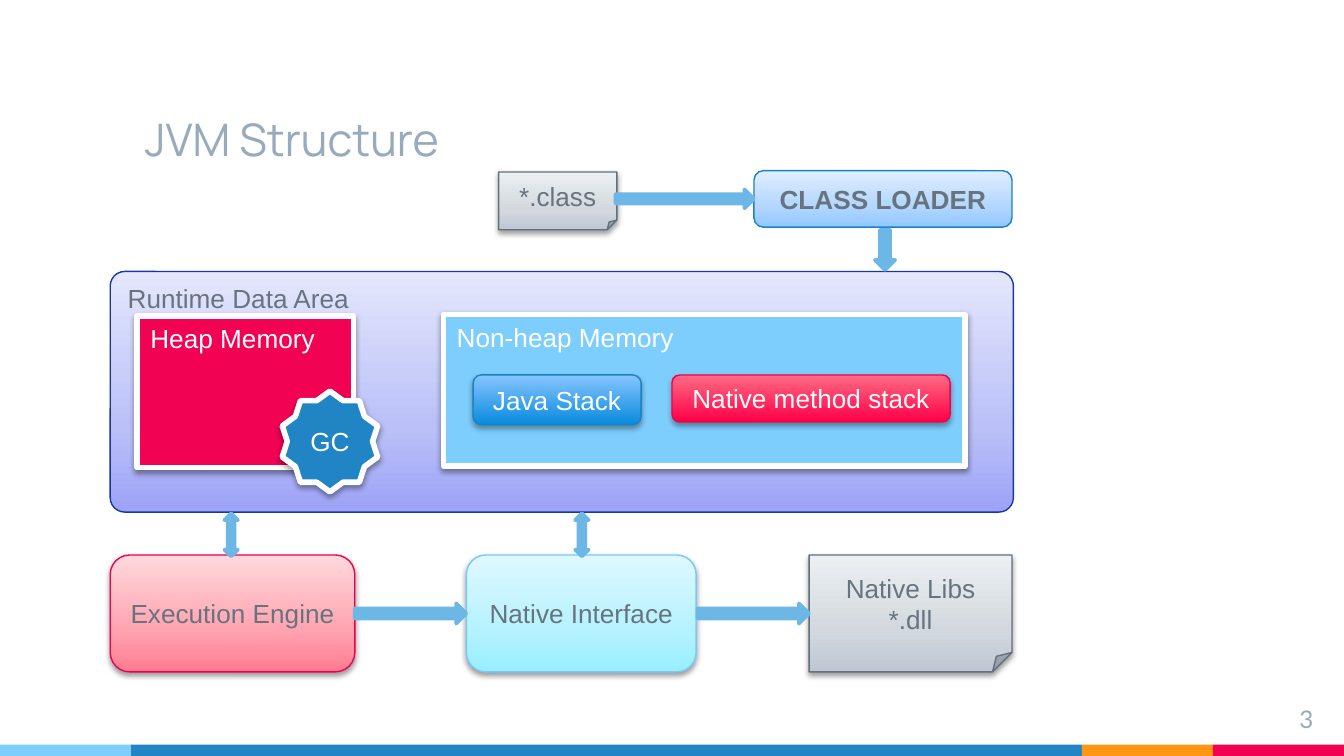
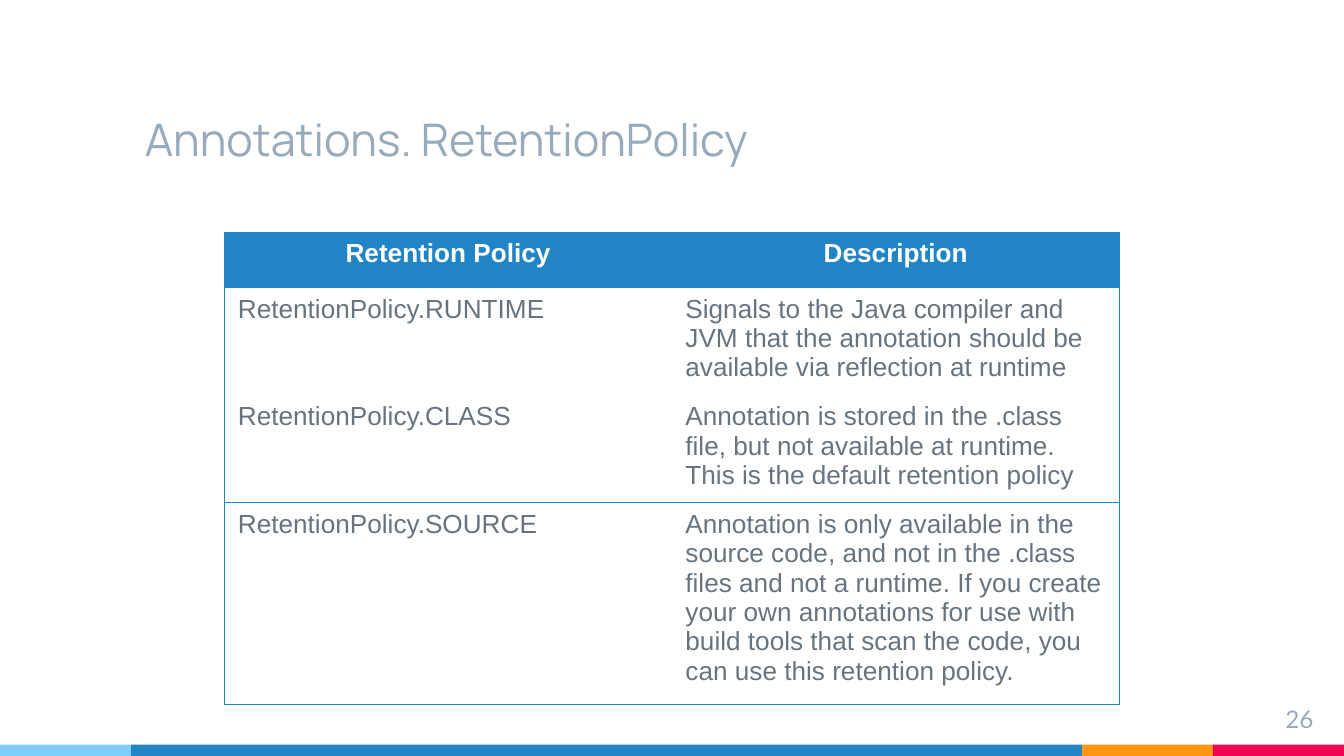
import pptx
import pptx.util
import pptx.dml.color
import pptx.enum.shapes
import pptx.enum.text
import pptx.oxml.ns
import lxml.etree

KIND = pptx.enum.shapes.MSO_SHAPE
ALIGN = pptx.enum.text.PP_ALIGN
ANCHOR = pptx.enum.text.MSO_ANCHOR
UNIT = pptx.util.Inches(0.1)
COLUMNS, ROWS = 100, 56.25

WHITE, SLATE, MUTED = "FFFFFF", "677480", "97ABBC"
BLUE, SKY, RED, ORANGE, ARROW = "2185C5", "7ECEFD", "F20253", "FF9715", "6DB7E7"
GREY_FADE = ("BEC7D3", "D2D8DE", "ECF0F3")
STEEL, CRIMSON, OCEAN = "63717D", "F1004F", "1B81C4"
PLAIN_TABLE = "{2D5ABB26-0587-4C30-8999-92F81FD0307C}"
SOFT_SHADOW = (38, 1.6)
DEEP_SHADOW = (35, 1.8)


def color(value):
    return pptx.dml.color.RGBColor.from_string(value)


def add_element(parent, tag, **attributes):
    return lxml.etree.SubElement(parent, pptx.oxml.ns.qn(tag), **attributes)


class Painter:
    def __init__(self):
        self.deck = pptx.Presentation()
        self.deck.slide_width = int(COLUMNS * UNIT)
        self.deck.slide_height = int(ROWS * UNIT)
        self.page = None

    def start_page(self, title, number):
        self.page = self.deck.slides.add_slide(self.deck.slide_layouts[6])
        left = 0
        for fill, width in ((SKY, 9.75), (BLUE, 70.75), (ORANGE, 9.75), (RED, 9.75)):
            self.shape(KIND.RECTANGLE, (left, 55.4, width, ROWS - 55.4), fill)
            left += width
        self.label((9.8, 3.9, 70.7, 9.4), title, "Manrope", 24, ALIGN.LEFT, ANCHOR.BOTTOM)
        self.label((92.7, 51.4, 6, 3.4), number, "Lato", 13, ALIGN.RIGHT, ANCHOR.TOP)

    def place(self, area):
        return [round(value * UNIT) for value in area]

    def set_text(self, frame, text, ink, font="Arial", size=14, align=ALIGN.LEFT, bold=False):
        frame.word_wrap = True
        frame.text = text
        for para in frame.paragraphs:
            para.alignment = align
            para.font.name = font
            para.font.size = pptx.util.Pt(size)
            para.font.bold = bold
            para.font.color.rgb = color(ink)

    def label(self, area, text, font, size, align, anchor):
        frame = self.page.shapes.add_textbox(*self.place(area)).text_frame
        frame.margin_left = frame.margin_right = UNIT
        frame.margin_top = frame.margin_bottom = UNIT
        frame.vertical_anchor = anchor
        self.set_text(frame, text, MUTED, font, size, align)

    def shape(self, kind, area, fill, line=None, weight=0.75, shadow=None):
        box = self.page.shapes.add_shape(kind, *self.place(area))
        if isinstance(fill, str):
            box.fill.solid()
            box.fill.fore_color.rgb = color(fill)
        else:
            self.fade(box, fill)
        if line:
            box.line.color.rgb = color(line)
            box.line.width = pptx.util.Pt(weight)
        else:
            box.line.fill.background()
        box.shadow.inherit = False
        if shadow:
            self.drop_shadow(box, *shadow)
        return box

    def fade(self, box, shades):
        box.fill.gradient()
        box.fill.gradient_angle = 90
        stops = box._element.spPr.find(".//" + pptx.oxml.ns.qn("a:gsLst"))
        for stop in list(stops):
            stops.remove(stop)
        positions = (0, 35, 100) if len(shades) == 3 else (0, 100)
        for position, shade in zip(positions, shades):
            stop = add_element(stops, "a:gs", pos=str(position * 1000))
            add_element(stop, "a:srgbClr", val=shade)

    def drop_shadow(self, box, opacity, distance):
        effects = box._element.spPr.find(pptx.oxml.ns.qn("a:effectLst"))
        outer = add_element(
            effects, "a:outerShdw", blurRad=str(pptx.util.Pt(3.1)),
            dist=str(pptx.util.Pt(distance)), dir="5400000", rotWithShape="0")
        shade = add_element(outer, "a:srgbClr", val="000000")
        add_element(shade, "a:alpha", val=str(opacity * 1000))

    def node(self, kind, area, text, fill, line, ink=SLATE, weight=0.75,
             shadow=SOFT_SHADOW, bold=False):
        box = self.shape(kind, area, fill, line, weight, shadow)
        box.text_frame.vertical_anchor = ANCHOR.MIDDLE
        self.set_text(box.text_frame, text, ink, align=ALIGN.CENTER, bold=bold)

    def region(self, kind, area, text, fill, line, ink, weight=0.75, shadow=None):
        box = self.shape(kind, area, fill, line, weight, shadow)
        box.text_frame.vertical_anchor = ANCHOR.TOP
        self.set_text(box.text_frame, text, ink)
        return box

    def arrow(self, kind, area):
        self.shape(kind, area, ARROW, ARROW, 2)

    def border(self, cell, sides):
        properties = cell._tc.get_or_add_tcPr()
        for side in "LRTB":
            if side in sides:
                line = add_element(properties, "a:ln" + side, w=str(pptx.util.Pt(0.75)))
                fill = add_element(line, "a:solidFill")
                add_element(fill, "a:srgbClr", val=BLUE)

    def table(self, left, top, column_width, row_height, records, ruled_rows):
        count, width = len(records), len(records[0])
        area = (left, top, column_width * width, row_height * count)
        frame = self.page.shapes.add_table(count, width, *self.place(area))
        style = frame._element.find(".//" + pptx.oxml.ns.qn("a:tableStyleId"))
        style.text = PLAIN_TABLE
        for row, record in enumerate(records):
            for column, text in enumerate(record):
                cell = frame.table.cell(row, column)
                sides = ("L" if column == 0 else "") + ("R" if column == width - 1 else "")
                sides += ("T" if row == 0 else "") + ("B" if row in ruled_rows else "")
                self.border(cell, sides)
                if row == 0:
                    cell.fill.solid()
                    cell.fill.fore_color.rgb = color(BLUE)
                    self.set_text(cell.text_frame, text, WHITE, align=ALIGN.CENTER, bold=True)
                else:
                    cell.fill.background()
                    self.set_text(cell.text_frame, text, SLATE)


def draw_structure(painter):
    painter.start_page("JVM Structure", "3")
    painter.node(KIND.FOLDED_CORNER, (37.1, 12.8, 8.8, 4.3), "*.class", GREY_FADE, STEEL)
    painter.node(KIND.ROUNDED_RECTANGLE, (56.1, 12.7, 19.2, 4.2), "CLASS LOADER",
                 ("91C8FF", "B1D6FF", "E0EEFF"), OCEAN, shadow=None, bold=True)

    runtime = painter.region(KIND.ROUNDED_RECTANGLE, (8.2, 20.2, 67.2, 17.9),
                             "Runtime Data Area", ("9DA3F6", "BAC0F8", "E4E7FC"),
                             "1736A8", SLATE)
    runtime.adjustments[0] = 0.06
    for area, text, fill in (
        ((10.2, 23.5, 16.1, 11.3), "Heap Memory", RED),
        ((33, 23.4, 38.8, 11.3), "Non-heap Memory", SKY),
    ):
        painter.region(KIND.RECTANGLE, area, text, fill, WHITE, WHITE, 3, SOFT_SHADOW)
    for area, text, fill, line in (
        ((35.2, 27.9, 12.5, 3.7), "Java Stack", ("088ADD", "87C6FF"), OCEAN),
        ((50, 27.9, 20.7, 3.5), "Native method stack", ("FF0047", "FF6B83"), CRIMSON),
    ):
        painter.node(KIND.ROUNDED_RECTANGLE, area, text, fill, line, WHITE, shadow=DEEP_SHADOW)
    painter.node(KIND.STAR_10_POINT, (21, 29.1, 7.1, 7.5), "GC", BLUE, WHITE, WHITE, 3)

    for kind, left, width, text, fill, line in (
        (KIND.ROUNDED_RECTANGLE, 8.2, 18.2, "Execution Engine",
         ("FF7B8F", "FFA3B0", "FFD9DC"), CRIMSON),
        (KIND.ROUNDED_RECTANGLE, 34.7, 17.1, "Native Interface",
         ("97EFFF", "B5F2FF", "DFF8FF"), "77C9FA"),
        (KIND.FOLDED_CORNER, 60.2, 15.1, "Native Libs\n*.dll", GREY_FADE, STEEL),
    ):
        painter.node(kind, (left, 41.3, width, 8.7), text, fill, line)

    painter.arrow(KIND.RIGHT_ARROW, (45.8, 14.1, 10.3, 1.4))
    painter.arrow(KIND.DOWN_ARROW, (65.1, 17.1, 1.5, 3))
    for left in (16.7, 42.8):
        painter.arrow(KIND.UP_DOWN_ARROW, (left, 38.2, 1, 3.2))
    for left in (26.4, 51.9):
        painter.arrow(KIND.RIGHT_ARROW, (left, 44.9, 8.3, 1.5))


def draw_retention(painter):
    painter.start_page("Annotations. RetentionPolicy", "26")
    records = (
        ("Retention Policy", "Description"),
        ("RetentionPolicy.RUNTIME",
         "Signals to the Java compiler and JVM that the annotation should be "
         "available via reflection at runtime"),
        ("RetentionPolicy.CLASS",
         "Annotation is stored in the .class file, but not available at runtime. "
         "This is the default retention policy"),
        ("RetentionPolicy.SOURCE",
         "Annotation is only available in the source code, and not in the .class "
         "files and not a runtime. If you create your own annotations for use with "
         "build tools that scan the code, you can use this retention policy."),
    )
    painter.table(16.7, 17.3, 33.3, 4.1, records, ruled_rows=(2, 3))


def main():
    painter = Painter()
    draw_structure(painter)
    draw_retention(painter)
    painter.deck.save("out.pptx")


if __name__ == "__main__":
    main()
